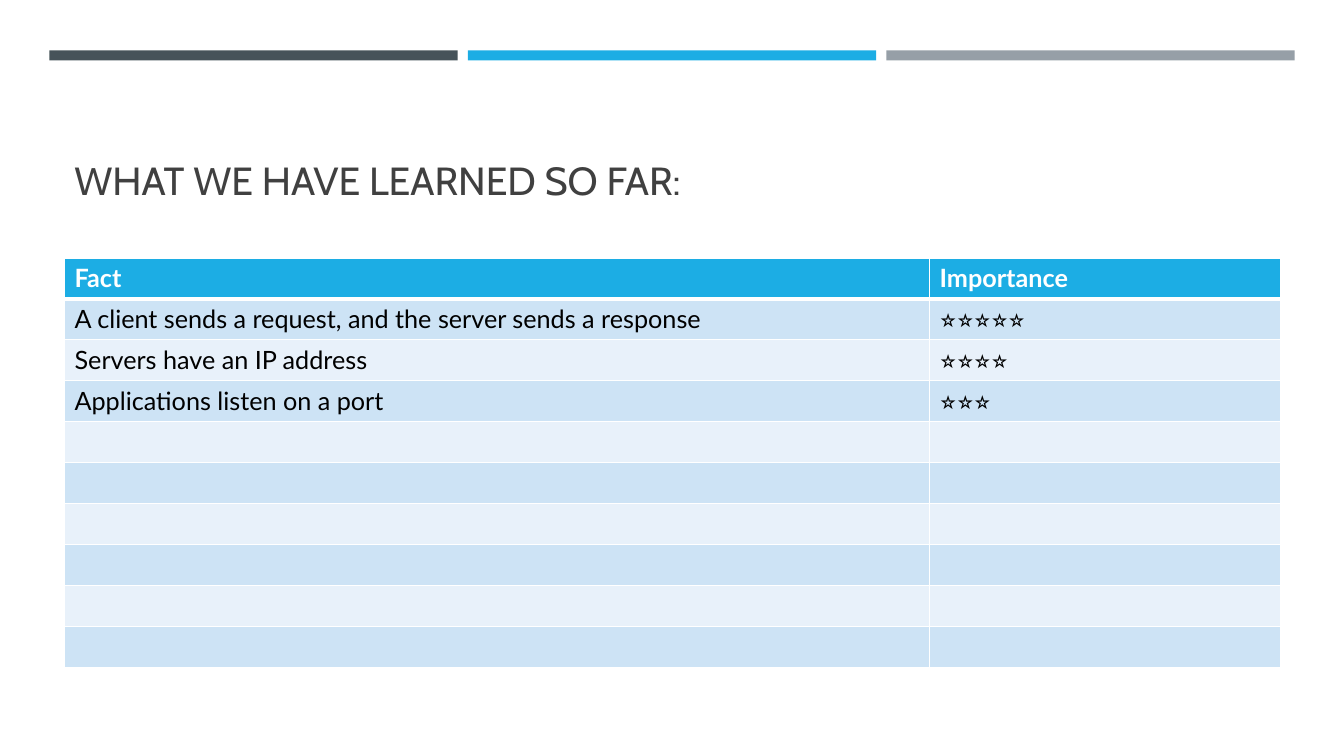
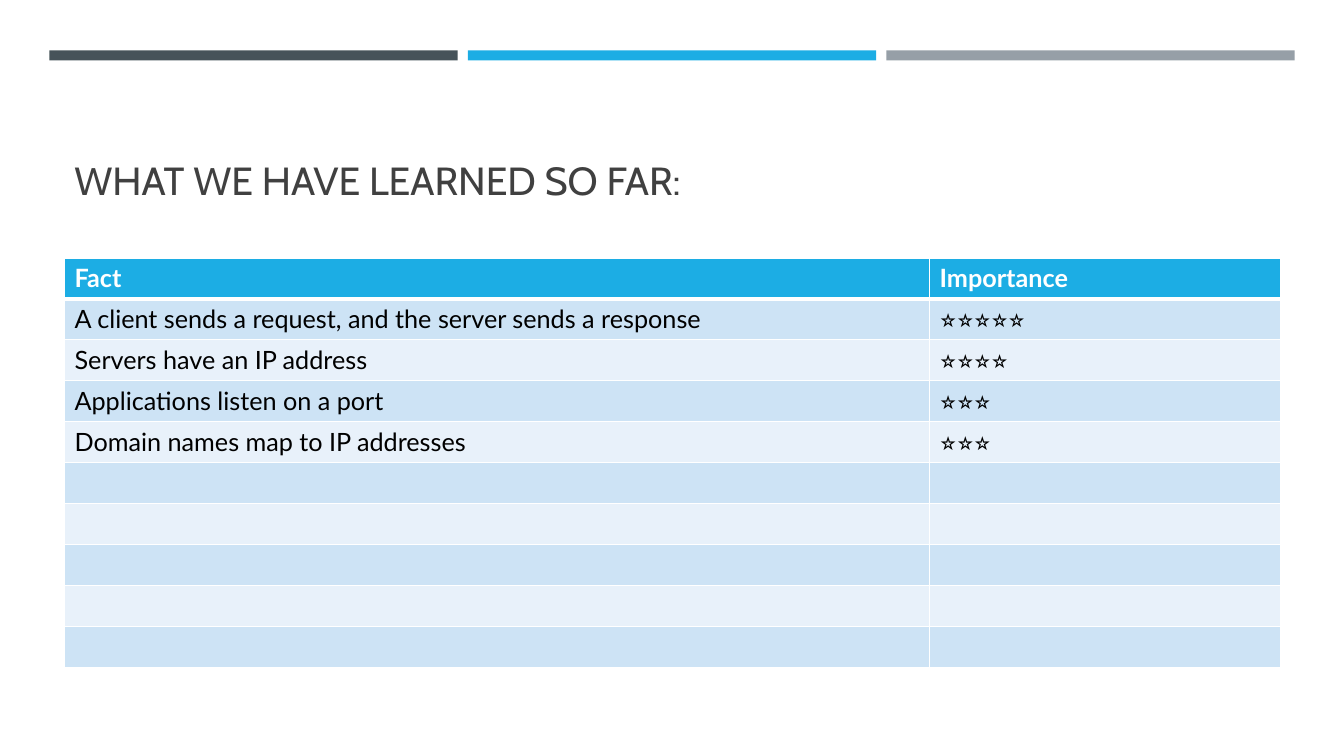
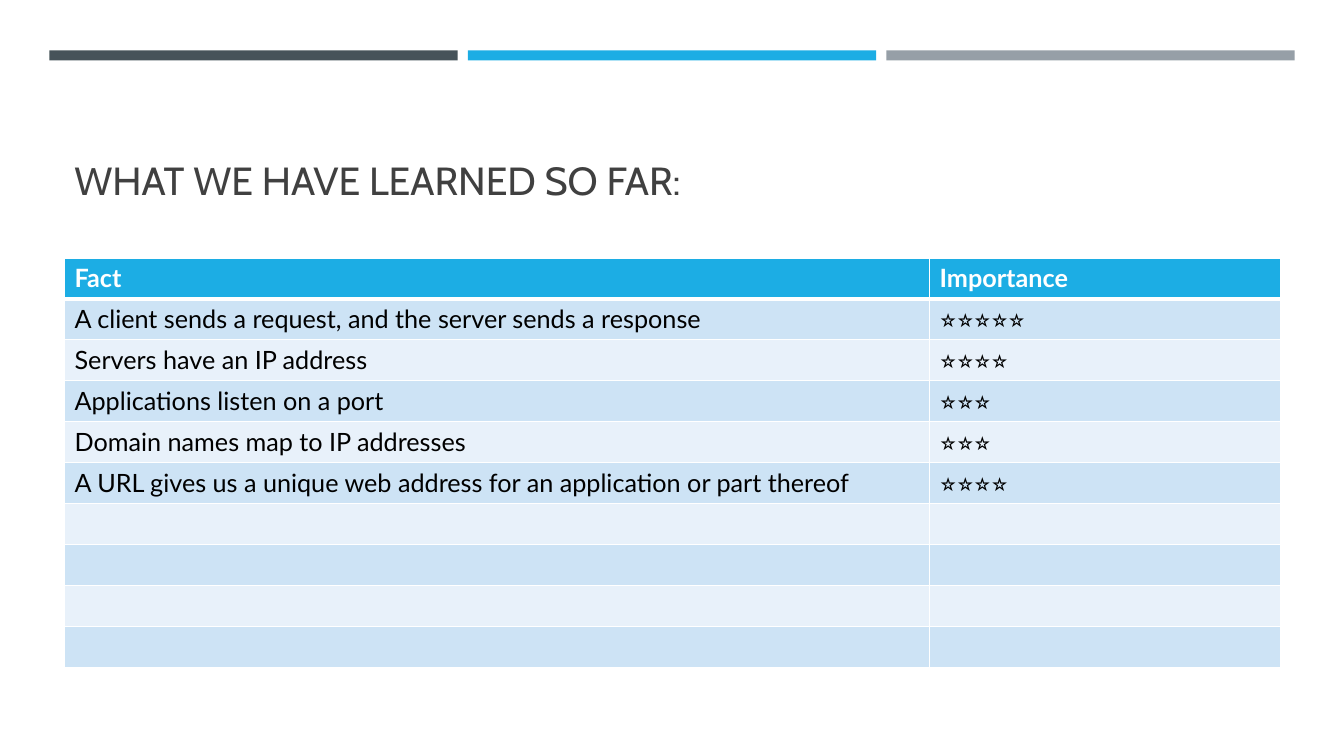
from dataclasses import dataclass

from lxml.etree import SubElement as Sub
from pptx import Presentation
from pptx.dml.color import RGBColor as RGB
from pptx.enum.shapes import MSO_SHAPE as Shape
from pptx.enum.text import MSO_ANCHOR as Anchor
from pptx.oxml.ns import qn
from pptx.util import Inches as In, Pt

# Content: each slide shows the first facts of the list
TITLE = "WHAT WE HAVE LEARNED SO FAR:"
HEAD = ("Fact", "Importance")
FACTS = [
    ("A client sends a request, and the server sends a response", 5),
    ("Servers have an IP address", 4),
    ("Applications listen on a port", 3),
    ("Domain names map to IP addresses", 3),
    ("A URL gives us a unique web address for an application or part thereof", 4),
]
COUNTS = (3, 4, 5)
STAR = "⭐"


@dataclass(frozen=True)
class Theme:
    bands: tuple = ("465359", "1CADE4", "969FA7")
    title: str = "404040"
    head: str = "1CADE4"
    rows: tuple = ("CDE3F5", "E8F1FA")
    text: str = "000000"
    white: str = "FFFFFF"
    title_font: str = "Cabin"
    body_font: str = "Lato"
    title_size: int = 28
    body_size: int = 18
    thin: int = 1
    thick: int = 3


T = Theme()

# Grid, in inches
WIDE, HIGH = 13.33, 7.5
LEFT, SPAN = 0.64, 12.06
TITLE_TOP, TITLE_H = 0.77, 1.3
BAND_LEFT, BAND_TOP, BAND_W, BAND_H, GAP = 0.49, 0.5, 4.05, 0.1, 0.1
TABLE_TOP, TABLE_H, ROWS = 2.56, 4.06, 10
COLS = (8.58, 3.48)


def style(para, face, size, color, bold=False):
    font = para.font
    font.name, font.size, font.bold = face, Pt(size), bold
    font.color.rgb = RGB.from_string(color)


def edge(cell, top, base):
    """Put white lines round a cell, ahead of its fill."""
    props = cell._tc.get_or_add_tcPr()
    sides = {"lnL": T.thin, "lnR": T.thin, "lnT": top, "lnB": base}
    for spot, (tag, width) in enumerate(sides.items()):
        line = Sub(props, qn(f"a:{tag}"), w=str(Pt(width)))
        Sub(Sub(line, qn("a:solidFill")), qn("a:srgbClr"), val=T.white)
        props.insert(spot, line)


def add_frame(slide):
    # Three bands
    for col, color in enumerate(T.bands):
        x = BAND_LEFT + col * (BAND_W + GAP)
        band = slide.shapes.add_shape(
            Shape.RECTANGLE, In(x), In(BAND_TOP), In(BAND_W), In(BAND_H))
        band.shadow.inherit = False
        band.fill.solid()
        band.fill.fore_color.rgb = RGB.from_string(color)
        band.line.fill.background()

    # Title
    box = slide.shapes.add_textbox(
        In(LEFT), In(TITLE_TOP), In(SPAN), In(TITLE_H))
    frame = box.text_frame
    frame.word_wrap, frame.vertical_anchor = True, Anchor.BOTTOM
    frame.text = TITLE
    style(frame.paragraphs[0], T.title_font, T.title_size, T.title)


def add_facts(slide, facts):
    table = slide.shapes.add_table(
        ROWS, len(COLS), In(LEFT), In(TABLE_TOP), In(SPAN), In(TABLE_H)).table
    for col, width in zip(table.columns, COLS):
        col.width = In(width)

    lines = [HEAD] + [(fact, STAR * rank) for fact, rank in facts]
    lines += [("", "")] * (ROWS - len(lines))
    for row, line in enumerate(lines):
        head = row == 0
        fill = T.head if head else T.rows[(row - 1) % 2]
        for col, text in enumerate(line):
            cell = table.cell(row, col)
            cell.text = text
            style(cell.text_frame.paragraphs[0], T.body_font, T.body_size,
                  T.white if head else T.text, head)
            cell.fill.solid()
            cell.fill.fore_color.rgb = RGB.from_string(fill)
            edge(cell, T.thick if row == 1 else T.thin,
                 T.thick if head else T.thin)


def main():
    deck = Presentation()
    deck.slide_width, deck.slide_height = In(WIDE), In(HIGH)
    for count in COUNTS:
        slide = deck.slides.add_slide(deck.slide_layouts[6])
        add_frame(slide)
        add_facts(slide, FACTS[:count])
    deck.save("out.pptx")


if __name__ == "__main__":
    main()
